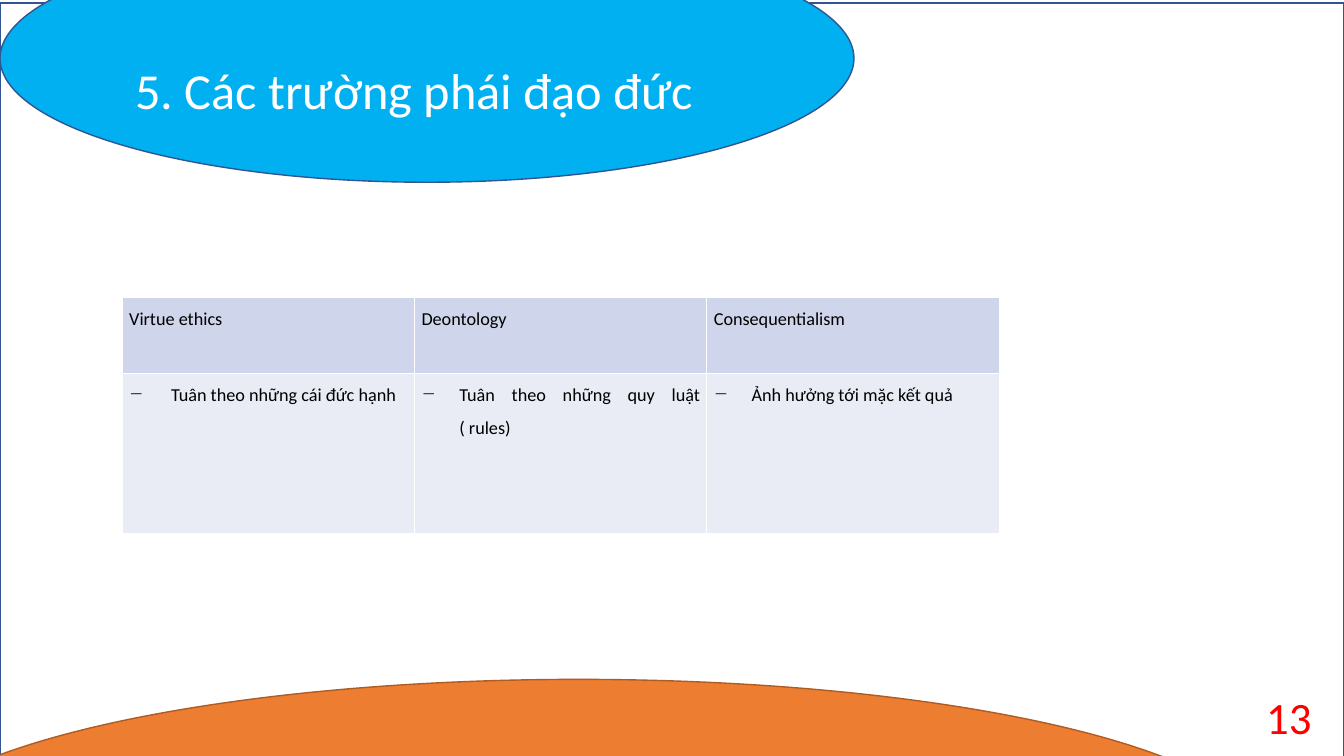
from lxml import etree
from pptx import Presentation
from pptx.dml.color import RGBColor
from pptx.enum import shapes, text
from pptx.oxml import ns
from pptx.util import Pt

WHITE = RGBColor(0xFF, 0xFF, 0xFF)
BLACK = RGBColor(0x00, 0x00, 0x00)
RED = RGBColor(0xFF, 0x00, 0x00)
SKY = RGBColor(0x00, 0xB0, 0xF0)
NAVY = RGBColor(0x32, 0x54, 0x91)
ORANGE = RGBColor(0xED, 0x7D, 0x31)
BROWN = RGBColor(0xAF, 0x5C, 0x24)
HEADER_FILL = RGBColor(0xCF, 0xD5, 0xEA)
BODY_FILL = RGBColor(0xE9, 0xEB, 0xF5)


def write(frame, content, size, color, align, spacing=1.0, bullet=None):
    frame.word_wrap = True
    paragraph = frame.paragraphs[0]
    if bullet:
        properties = paragraph._p.get_or_add_pPr()
        properties.set("marL", str(Pt(27)))
        properties.set("indent", str(Pt(-27)))
        etree.SubElement(properties, ns.qn("a:buChar")).set("char", bullet)
    paragraph.alignment = align
    paragraph.line_spacing = spacing
    run = paragraph.add_run()
    run.text = content
    run.font.name = "Calibri"
    run.font.size = Pt(size)
    run.font.bold = False
    run.font.color.rgb = color


def add_white_borders(cell):
    """Outline a cell; call before its fill is set, as borders come first in the XML."""
    properties = cell._tc.get_or_add_tcPr()
    for side in ("lnL", "lnR", "lnT", "lnB"):
        line = etree.SubElement(properties, ns.qn(f"a:{side}"), w=str(Pt(1)))
        fill = etree.SubElement(line, ns.qn("a:solidFill"))
        etree.SubElement(fill, ns.qn("a:srgbClr"), val=str(WHITE))


presentation = Presentation()
presentation.slide_width = Pt(960)
presentation.slide_height = Pt(540)
slide = presentation.slides.add_slide(presentation.slide_layouts[5])

# Frame and the two ellipses
OVAL = shapes.MSO_SHAPE.OVAL
for kind, left, top, width, height, fill, line in (
    (shapes.MSO_SHAPE.RECTANGLE, 0, 2.2, 960, 540, WHITE, NAVY),
    (OVAL, 0, -46.8, 610, 177, SKY, NAVY),
    (OVAL, -79.2, 485.3, 985, 236, ORANGE, BROWN),
):
    shape = slide.shapes.add_shape(kind, Pt(left), Pt(top), Pt(width), Pt(height))
    shape.shadow.inherit = False
    shape.fill.solid()
    shape.fill.fore_color.rgb = fill
    shape.line.color.rgb = line
    shape.line.width = Pt(1)

# Title, brought in front of the blue ellipse
title = slide.shapes.title
slide.shapes._spTree.append(title._element)
title.left, title.top, title.width, title.height = Pt(89.3), Pt(39), Pt(431), Pt(50)
title.text_frame.auto_size = text.MSO_AUTO_SIZE.NONE
title.text_frame.vertical_anchor = text.MSO_ANCHOR.MIDDLE
write(title.text_frame, "5. Các trường phái đạo đức", 36, WHITE, text.PP_ALIGN.LEFT)

# Page number
page_number = slide.shapes.add_textbox(Pt(728), Pt(497.5), Pt(216), Pt(29))
page_number.text_frame.vertical_anchor = text.MSO_ANCHOR.MIDDLE
write(page_number.text_frame, "13", 32, RED, text.PP_ALIGN.RIGHT)

# Schools of ethics
rows = (
    (54, HEADER_FILL, None, ("Virtue ethics", "Deontology", "Consequentialism")),
    (115, BODY_FILL, "−", (
        " Tuân theo những cái đức hạnh",
        "Tuân theo những quy luật ( rules)",
        "Ảnh hưởng tới mặc kết quả",
    )),
)
table = slide.shapes.add_table(2, 3, Pt(87.3), Pt(212.5), Pt(626.4), Pt(169)).table
table.first_row = False
table.horz_banding = False
for column in table.columns:
    column.width = Pt(208.8)
for row, (height, fill, bullet, contents) in zip(table.rows, rows):
    row.height = Pt(height)
    for cell, content in zip(row.cells, contents):
        add_white_borders(cell)
        cell.fill.solid()
        cell.fill.fore_color.rgb = fill
        cell.margin_left = cell.margin_right = Pt(5)
        cell.margin_top = cell.margin_bottom = Pt(0)
        write(cell.text_frame, content, 13, BLACK, text.PP_ALIGN.JUSTIFY,
              spacing=1.5, bullet=bullet)

presentation.save("out.pptx")
